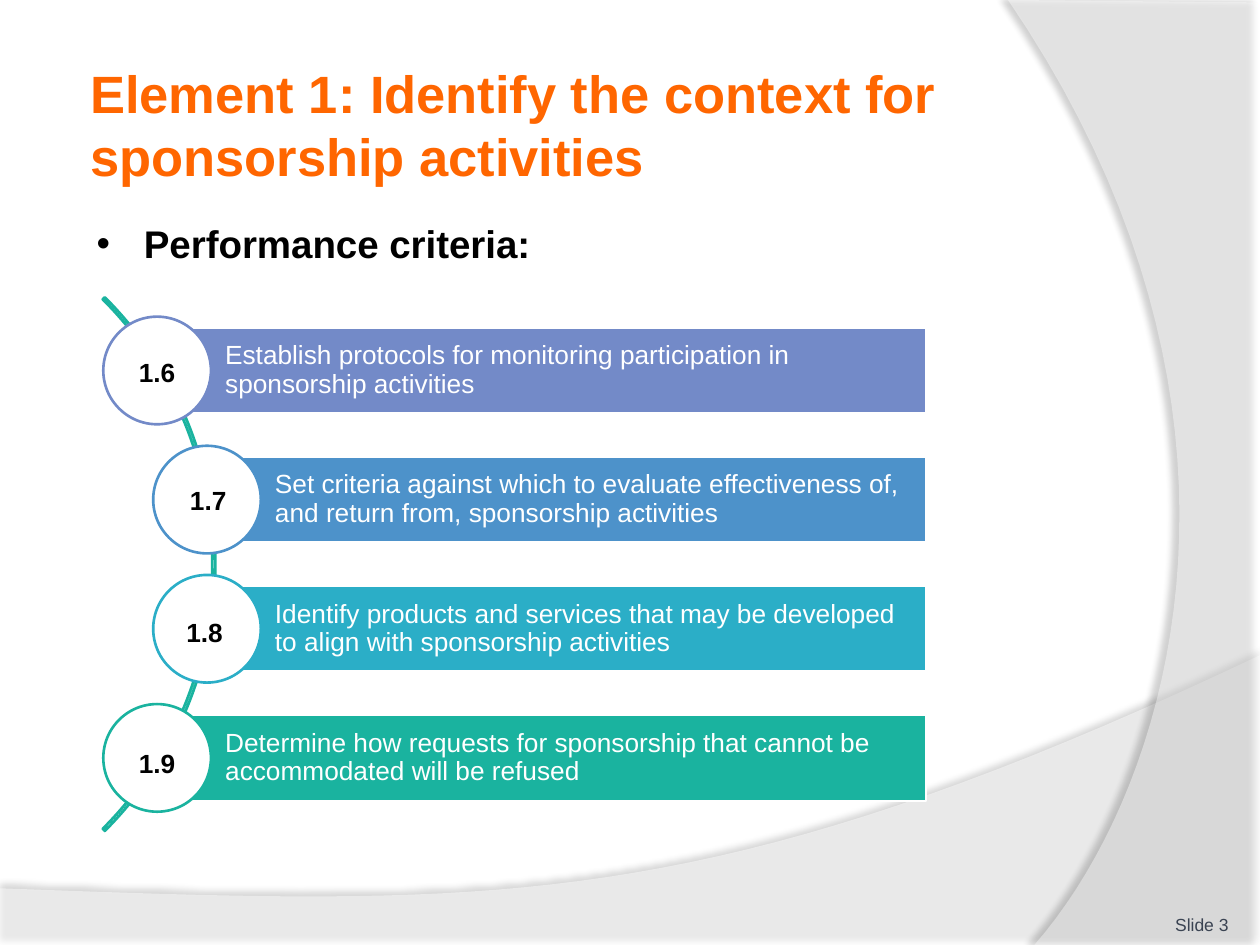
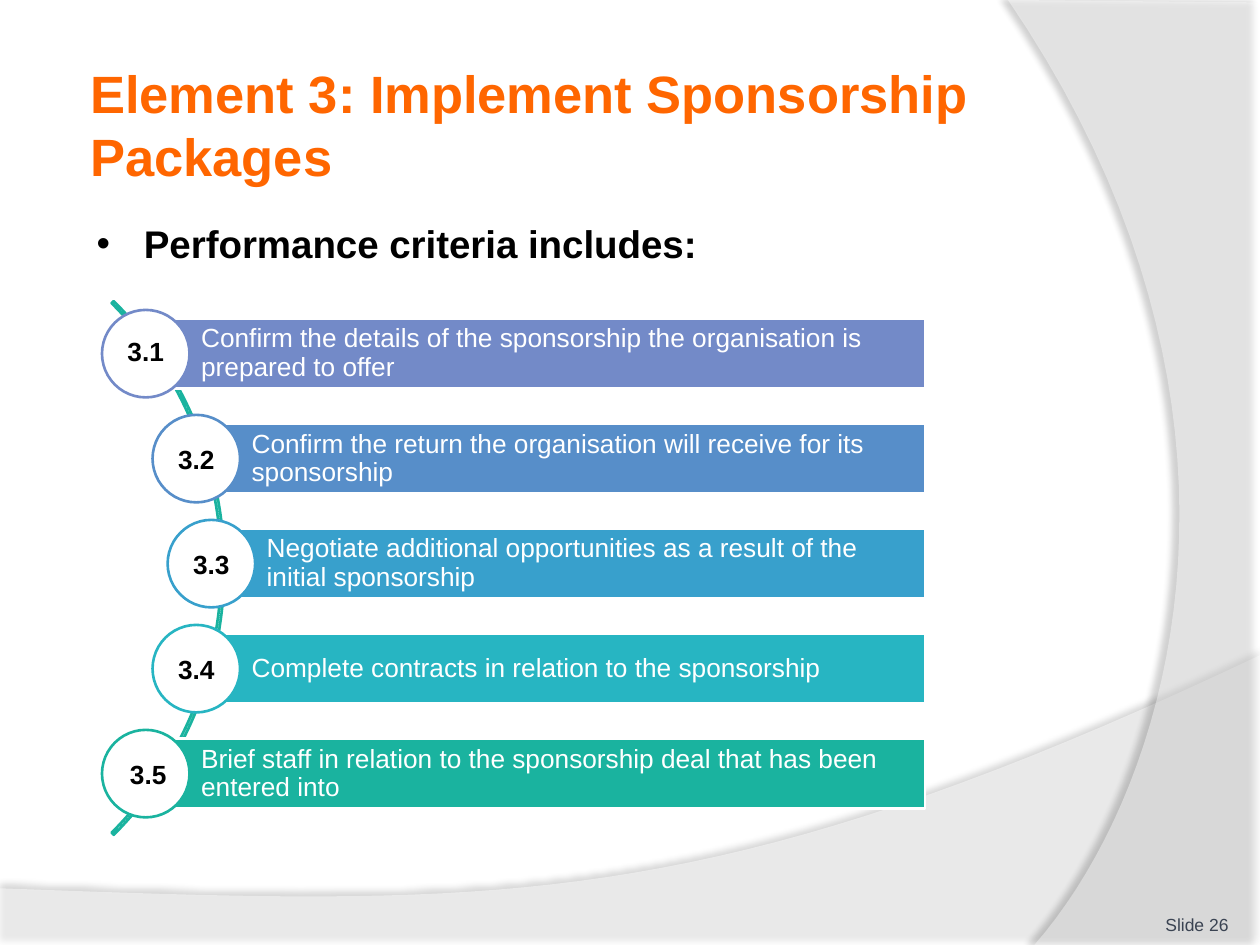
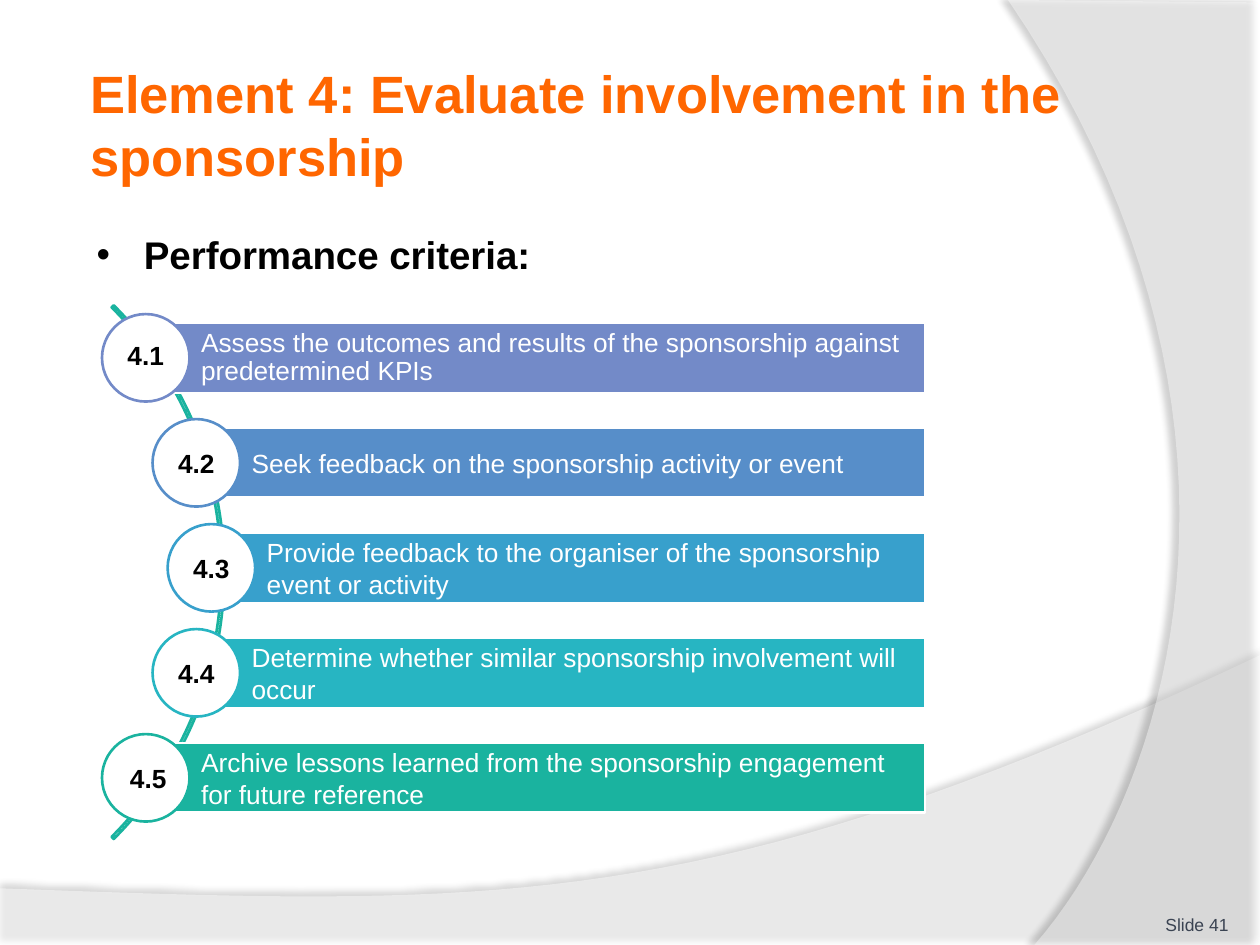
"""Build three performance-criteria slides for a sponsorship course."""
from dataclasses import dataclass

from lxml.etree import SubElement
from pptx import Presentation
from pptx.dml.color import RGBColor
from pptx.enum.shapes import MSO_SHAPE as Preset
from pptx.enum.text import MSO_ANCHOR as Anchor, MSO_AUTO_SIZE as AutoSize, PP_ALIGN as Align
from pptx.oxml.ns import qn
from pptx.slide import Slide
from pptx.text.text import TextFrame
from pptx.util import Pt

Point = tuple[float, float]

FONT = "Arial"
ORANGE = RGBColor(0xFF, 0x66, 0x00)
BLACK = RGBColor(0x00, 0x00, 0x00)
WHITE = RGBColor(0xFF, 0xFF, 0xFF)
SLATE = RGBColor(0x3A, 0x43, 0x52)
PERIWINKLE = RGBColor(0x73, 0x8A, 0xC8)
TEAL = RGBColor(0x1A, 0xB3, 0x9F)
FOUR_COLOURS = (PERIWINKLE, RGBColor(0x4D, 0x92, 0xCA), RGBColor(0x2B, 0xAE, 0xC7), TEAL)
FIVE_COLOURS = (PERIWINKLE, RGBColor(0x57, 0x8E, 0xC9), RGBColor(0x38, 0xA0, 0xCC),
                RGBColor(0x27, 0xB5, 0xC2), TEAL)

ARC_SIZE = 431.3
ARC_ADJUSTMENTS = (189, 27, 0.4 / 100)
CURVE_STEPS = 40


@dataclass(frozen=True)
class Band:
    """A translucent background band: corners, then a curve from the last corner."""
    corners: tuple[Point, ...]
    controls: tuple[Point, Point]
    curve_end: Point
    opacity: int
    shadow_opacity: int
    shadow_distance: float
    shadow_angle: int


@dataclass(frozen=True)
class ListStyle:
    """Measures and colours of a curved list."""
    row_height: float
    bar_lefts: tuple[float, ...]
    bar_right: float
    arc_left: float
    colours: tuple[RGBColor, ...]


@dataclass(frozen=True)
class Criterion:
    """One numbered row; nudge moves its number from the circle's centre."""
    number: str
    text: str
    nudge: Point = (0, 0)
    line_spacing: float = 0.9


@dataclass(frozen=True)
class ElementPage:
    """Content of one slide."""
    title: str
    heading: str
    heading_top: float
    footer: str
    style: ListStyle
    first_bar_top: float
    arc_top: float
    criteria: tuple[Criterion, ...]


BANDS = (
    Band(((0, 507.6), (0, 540.7), (720, 540.7), (720, 374.4)),
         ((402.5, 524.9), (281.5, 517.7)), (0, 507.6), 45, 35, 3.5, 270),
    Band(((720, 1.4), (720, 540), (591.1, 540)),
         ((673.2, 445.7), (733, 229.7)), (576, 0), 40, 45, 4, 180),
)
FOUR_ROWS = ListStyle(49.2, (89.8, 118.3, 118.3, 89.8), 529.2, -308.2, FOUR_COLOURS)
FIVE_ROWS = ListStyle(40, (83.3, 112.2, 120.8, 112.2, 83.3), 528.6, -303.1, FIVE_COLOURS)

PAGES = (
    ElementPage(
        "Element 1: Identify the context for sponsorship activities",
        "Performance criteria:", 122.4, "Slide 3", FOUR_ROWS, 187.1, 106.7,
        (Criterion("1.6", "Establish protocols for monitoring participation in sponsorship activities",
                   (0, 0.7)),
         Criterion("1.7", "Set criteria against which to evaluate effectiveness of, "
                   "and return from, sponsorship activities", (0.7, 0)),
         Criterion("1.8", "Identify products and services that may be developed "
                   "to align with sponsorship activities", (-1.4, 2.2)),
         Criterion("1.9", "Determine how requests for sponsorship that cannot be "
                   "accommodated will be refused", (0, 2.9)))),
    ElementPage(
        "Element 3: Implement Sponsorship Packages",
        "Performance criteria includes:", 122.4, "Slide 26", FIVE_ROWS, 182.1, 108.9,
        (Criterion("3.1", "Confirm the details of the sponsorship the organisation is "
                   "prepared to offer", (0, -1.4)),
         Criterion("3.2", "Confirm the return the organisation will receive for its sponsorship"),
         Criterion("3.3", "Negotiate additional opportunities as a result of the initial sponsorship"),
         Criterion("3.4", "Complete contracts in relation to the sponsorship"),
         Criterion("3.5", "Brief staff in relation to the sponsorship deal that has been entered into",
                   (1.4, 0)))),
    ElementPage(
        "Element 4: Evaluate involvement in the sponsorship",
        "Performance criteria:", 128.2, "Slide 41", FIVE_ROWS, 184.5, 111.3,
        (Criterion("4.1", "Assess the outcomes and results of the sponsorship against "
                   "predetermined KPIs", (0, -1.4)),
         Criterion("4.2", "Seek feedback on the sponsorship activity or event", line_spacing=1.0),
         Criterion("4.3", "Provide feedback to the organiser of the sponsorship event or activity",
                   line_spacing=1.0),
         Criterion("4.4", "Determine whether similar sponsorship involvement will occur",
                   line_spacing=1.0),
         Criterion("4.5", "Archive lessons learned from the sponsorship engagement "
                   "for future reference", (1.4, 0), 1.0))),
)


def place(shape, left: float, top: float, width: float, height: float) -> None:
    """Move and size a shape, in points."""
    shape.left, shape.top, shape.width, shape.height = map(Pt, (left, top, width, height))


def write(frame: TextFrame, text: str, size: float, colour: RGBColor, bold: bool = False,
          align: Align = Align.LEFT, anchor: Anchor = Anchor.TOP,
          margins: tuple[float, float, float, float] = (7.2, 3.6, 7.2, 3.6),
          line_spacing: float = 1.0) -> None:
    """Set a frame's single paragraph and its format."""
    frame.text = text
    frame.word_wrap = True
    frame.auto_size = AutoSize.NONE
    frame.vertical_anchor = anchor
    (frame.margin_left, frame.margin_top,
     frame.margin_right, frame.margin_bottom) = map(Pt, margins)
    para = frame.paragraphs[0]
    para.alignment = align
    para.line_spacing = line_spacing
    para.space_before = Pt(0)
    for span in para.runs:
        span.font.name = FONT
        span.font.size = Pt(size)
        span.font.bold = bold
        span.font.color.rgb = colour


def curve_points(start: Point, controls: tuple[Point, Point], end: Point) -> list[Point]:
    """Return points along a cubic curve, without its start."""
    points = []
    for step in range(1, CURVE_STEPS + 1):
        t = step / CURVE_STEPS
        weights = ((1 - t) ** 3, 3 * t * (1 - t) ** 2, 3 * t ** 2 * (1 - t), t ** 3)
        anchors = (start, *controls, end)
        points.append((sum(w * x for w, (x, _) in zip(weights, anchors)),
                       sum(w * y for w, (_, y) in zip(weights, anchors))))
    return points


def draw_band(slide: Slide, band: Band):
    """Draw a translucent band with a soft shadow and return it."""
    first, *rest = band.corners
    outline = rest + curve_points(rest[-1], band.controls, band.curve_end)
    builder = slide.shapes.build_freeform(Pt(first[0]), Pt(first[1]))
    builder.add_line_segments([(Pt(x), Pt(y)) for x, y in outline], close=True)
    shape = builder.convert_to_shape()
    shape.fill.solid()
    shape.fill.fore_color.rgb = WHITE
    shape.line.fill.background()
    properties = shape.element.spPr
    SubElement(properties.find(".//" + qn("a:srgbClr")), qn("a:alpha"), val=str(band.opacity * 1000))
    shape.shadow.inherit = False
    shadow = SubElement(properties.find(qn("a:effectLst")), qn("a:outerShdw"),
                        blurRad=str(Pt(4)), dist=str(Pt(band.shadow_distance)),
                        dir=str(band.shadow_angle * 60000), algn="ctr", rotWithShape="0")
    colour = SubElement(shadow, qn("a:srgbClr"), val=str(BLACK))
    SubElement(colour, qn("a:alpha"), val=str(band.shadow_opacity * 1000))
    return shape


def move_bands_to_master(deck, slide: Slide) -> None:
    """Draw the shared bands and put them at the back of the slide master."""
    for index, band in enumerate(BANDS):
        element = draw_band(slide, band).element
        element.nvSpPr.cNvPr.set("id", str(20 + index))
        deck.slide_master.shapes.element.insert(2 + index, element)


def add_preset(slide: Slide, preset: Preset, bounds: tuple[float, float, float, float],
               fill: RGBColor | None, line: RGBColor):
    """Add a flat preset shape."""
    shape = slide.shapes.add_shape(preset, *map(Pt, bounds))
    shape.shadow.inherit = False
    if fill is None:
        shape.fill.background()
    else:
        shape.fill.solid()
        shape.fill.fore_color.rgb = fill
    shape.line.color.rgb = line
    shape.line.width = Pt(1.5)
    return shape


def draw_headings(slide: Slide, page: ElementPage) -> None:
    """Fill the title and body placeholders and the footer."""
    title, body = slide.placeholders
    place(title, 48, 26, 588, 90)
    write(title.text_frame, page.title, 30, ORANGE, True, anchor=Anchor.MIDDLE,
          margins=(3.6, 3.6, 3.6, 3.6))
    place(body, 48, page.heading_top, 588, 478.8 - page.heading_top)
    properties = body.text_frame.paragraphs[0]._p.get_or_add_pPr()
    properties.set("marL", "0")
    properties.set("indent", "0")
    SubElement(properties, qn("a:buNone"))
    write(body.text_frame, page.heading, 22, BLACK, True)
    footer = slide.shapes.add_textbox(Pt(642.2), Pt(505.4), Pt(59.8), Pt(28.8))
    write(footer.text_frame, page.footer, 10, SLATE, align=Align.RIGHT, anchor=Anchor.BOTTOM,
          margins=(0, 0, 0, 0))


def draw_criterion(slide: Slide, criterion: Criterion, style: ListStyle,
                   left: float, top: float, colour: RGBColor) -> None:
    """Draw one bar with its numbered circle."""
    height = style.row_height
    diameter = 1.25 * height
    middle = top + height / 2
    bar = add_preset(slide, Preset.RECTANGLE, (left, top, style.bar_right - left, height),
                     colour, WHITE)
    write(bar.text_frame, criterion.text, 15, WHITE, anchor=Anchor.MIDDLE,
          margins=(0.79 * height, 2.9, 2.9, 2.9), line_spacing=criterion.line_spacing)
    add_preset(slide, Preset.OVAL,
               (left - diameter / 2, middle - diameter / 2, diameter, diameter), WHITE, colour)
    across, down = criterion.nudge
    label = slide.shapes.add_textbox(Pt(left + across - 25), Pt(middle + down - 12.6),
                                     Pt(50), Pt(25.2))
    write(label.text_frame, criterion.number, 15, BLACK, True, Align.CENTER)


def draw_list(slide: Slide, page: ElementPage) -> None:
    """Draw the arc and the rows along it."""
    style = page.style
    arc = add_preset(slide, Preset.BLOCK_ARC, (style.arc_left, page.arc_top, ARC_SIZE, ARC_SIZE),
                     None, TEAL)
    for index, value in enumerate(ARC_ADJUSTMENTS):
        arc.adjustments[index] = value
    rows = zip(page.criteria, style.bar_lefts, style.colours)
    for index, (criterion, left, colour) in enumerate(rows):
        top = page.first_bar_top + index * 1.5 * style.row_height
        draw_criterion(slide, criterion, style, left, top, colour)


def main() -> None:
    """Build and save the deck."""
    deck = Presentation()
    deck.slide_width, deck.slide_height = Pt(720), Pt(540)
    for page in PAGES:
        slide = deck.slides.add_slide(deck.slide_layouts[1])
        draw_headings(slide, page)
        draw_list(slide, page)
    move_bands_to_master(deck, deck.slides[0])
    deck.save("out.pptx")


if __name__ == "__main__":
    main()
